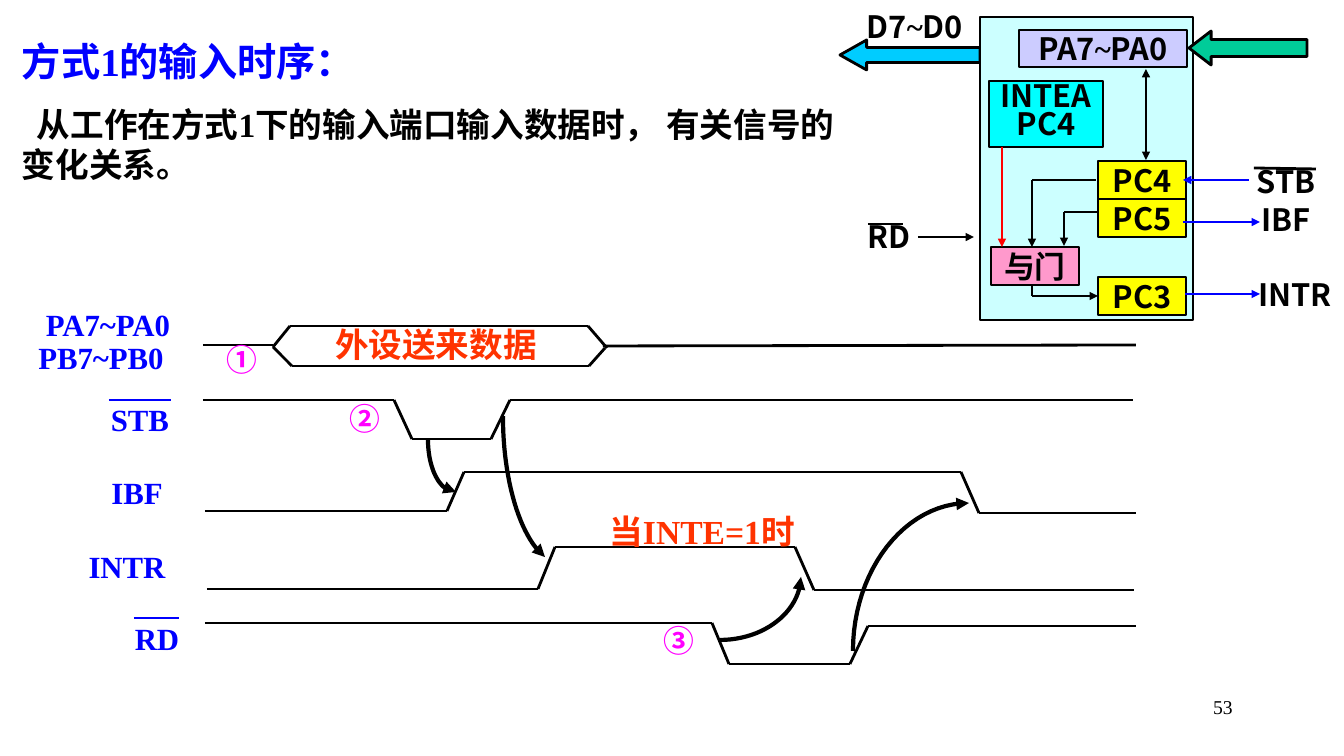
from dataclasses import dataclass
from itertools import pairwise

from lxml import etree
from pptx import Presentation
from pptx import util as u
from pptx.dml.color import RGBColor
from pptx.enum import shapes, text
from pptx.oxml.ns import qn

PX = 914400 / 100.8
CURVE_STEPS = 24
Point = tuple[int, int]


def emu(px: float) -> int:
    return round(px * PX)


@dataclass(frozen=True)
class Style:
    color: str
    size: int = 22
    font: str = "Times New Roman"
    bold: bool = True
    spacing: float | None = None


class Theme:
    BLACK, BLUE, RED = "000000", "0000FF", "FF0000"
    YELLOW, CYAN, PINK = "FFFF00", "00FFFF", "FF99CC"
    PANEL, PORT = "CCFFFF", "CCCCFF"
    BUS, DEVICE = "00CCFF", "00CC99"
    LATIN, CJK = "Times New Roman", "Noto Sans CJK SC"
    TITLE = Style(BLUE, 28)
    BODY = Style(BLACK, 24, spacing=28.8)
    SIGNAL = Style(BLUE)
    PIN = Style(BLACK, font=CJK)
    ENABLE = Style(BLACK, font=CJK, spacing=20)
    STEP = Style("FF00FF", font=CJK)
    REMARK = Style("FF3300", 24)
    PAGE = Style(BLACK, 14, bold=False)


@dataclass(frozen=True)
class Label:
    """Text centred on (cx, cy)."""
    words: str
    cx: int
    cy: int
    style: Style
    width: int = 110


@dataclass(frozen=True)
class Block:
    words: str
    x: int
    y: int
    w: int
    h: int
    fill: str
    line: float = 1.5
    style: Style = Theme.PIN
    arrow: float | None = None


@dataclass(frozen=True)
class Wire:
    points: tuple[Point, ...]
    color: str = Theme.BLACK
    head: bool = False
    tail: bool = False


LABELS = [
    Label("PA7~PA0", 108, 324, Theme.SIGNAL, 160),
    Label("PB7~PB0", 101, 357, Theme.SIGNAL, 160),
    Label("STB", 140, 419, Theme.SIGNAL),
    Label("IBF", 137, 492, Theme.SIGNAL),
    Label("INTR", 127, 566, Theme.SIGNAL),
    Label("RD", 157, 638, Theme.SIGNAL),
    Label("外设送来数据", 436, 344, Theme.REMARK, 300),
    Label("当INTE=1时", 702, 531, Theme.REMARK, 300),
    Label("①", 242, 359, Theme.STEP),
    Label("②", 365, 418, Theme.STEP),
    Label("③", 679, 640, Theme.STEP),
    Label("D7~D0", 915, 26, Theme.PIN, 120),
    Label("RD", 889, 236, Theme.PIN),
    Label("STB", 1286, 181, Theme.PIN),
    Label("IBF", 1286, 219, Theme.PIN),
    Label("INTR", 1295, 294, Theme.PIN, 98),
    Label("53", 1223, 707, Theme.PAGE),
]

BLOCKS = [
    Block("", 840, 40, 140, 30, Theme.BUS, 2, arrow=0.89),
    Block("", 980, 17, 213, 303, Theme.PANEL, 1),
    Block("PA7~PA0", 1019, 30, 168, 37, Theme.PORT, 2),
    Block("PC4", 1098, 161, 88, 38, Theme.YELLOW),
    Block("PC5", 1098, 199, 88, 38, Theme.YELLOW),
    Block("PC3", 1098, 277, 88, 38, Theme.YELLOW),
    Block("INTEA\nPC4", 989, 81, 114, 66, Theme.CYAN, style=Theme.ENABLE),
    Block("与门", 991, 247, 88, 38, Theme.PINK),
    Block("", 1189, 31, 118, 34, Theme.DEVICE, 2, arrow=0.65),
]

WAVEFORMS = [
    Wire(((203, 345), (273, 345))),
    Wire(((273, 347), (290, 326), (588, 326), (607, 348))),
    Wire(((273, 347), (292, 366), (589, 366), (605, 348))),
    Wire(((603, 346), (1136, 345))),
    Wire(((203, 400), (394, 400), (412, 439), (491, 439), (510, 400), (1133, 400))),
    Wire(((205, 511), (447, 511), (464, 472), (961, 472), (979, 513), (1136, 513))),
    Wire(((207, 589), (538, 589), (555, 547), (795, 547), (814, 590), (1134, 590))),
    Wire(((205, 623), (712, 623), (729, 664), (850, 664), (868, 626), (1136, 626))),
]

OVERLINES = [
    Wire(((109, 400), (171, 400)), Theme.BLUE),
    Wire(((134, 618), (179, 618)), Theme.BLUE),
    Wire(((868, 224), (903, 224))),
    Wire(((1254, 168), (1316, 169))),
]

CHIP_WIRES = [
    Wire(((918, 237), (974, 237)), tail=True),
    Wire(((1146, 69), (1146, 160)), head=True, tail=True),
    Wire(((1002, 147), (1002, 247)), Theme.RED, tail=True),
    Wire(((1096, 180), (1032, 180), (1032, 247)), tail=True),
    Wire(((1098, 212), (1064, 212), (1064, 246)), tail=True),
    Wire(((1032, 285), (1032, 296), (1098, 296)), tail=True),
    Wire(((1249, 180), (1183, 180)), Theme.BLUE, tail=True),
    Wire(((1183, 222), (1260, 222)), Theme.BLUE, tail=True),
    Wire(((1185, 294), (1260, 294)), Theme.BLUE, tail=True),
]

# Start, two control points, end
CAUSES = [
    ((428, 439), (428, 469), (440, 492), (456, 492)),
    ((503, 416), (503, 480), (520, 537), (545, 557)),
    ((720, 640), (764, 640), (800, 612), (801, 577)),
    ((853, 651), (853, 570), (905, 503), (969, 503)),
]


def write(frame, words: str, style: Style, align=text.PP_ALIGN.CENTER,
          anchor=text.MSO_ANCHOR.MIDDLE, indent: int = 0) -> None:
    frame.word_wrap = True
    frame.auto_size = text.MSO_AUTO_SIZE.NONE
    frame.vertical_anchor = anchor
    frame.margin_left = frame.margin_right = frame.margin_top = frame.margin_bottom = 0
    for number, line in enumerate(words.split("\n")):
        paragraph = frame.add_paragraph() if number else frame.paragraphs[0]
        props = paragraph._p.get_or_add_pPr()
        props.set("marL", "0")
        props.set("indent", str(emu(indent)))
        etree.SubElement(props, qn("a:buNone"))
        paragraph.alignment = align
        paragraph.space_before = u.Pt(0)
        if style.spacing:
            paragraph.line_spacing = u.Pt(style.spacing)
        font = paragraph.font
        font.size, font.bold, font.name = u.Pt(style.size), style.bold, style.font
        font.color.rgb = RGBColor.from_string(style.color)
        etree.SubElement(props.find(qn("a:defRPr")), qn("a:ea"), typeface=Theme.CJK)
        for piece in filter(None, line.partition("~")):
            run = paragraph.add_run()
            run.text = piece
            if piece == "~" and style.font == Theme.CJK:
                run.font.name = Theme.LATIN


def stroke(shape, color: str, width: float, head: bool = False, tail: bool = False) -> None:
    shape.line.color.rgb = RGBColor.from_string(color)
    shape.line.width = u.Pt(width)
    outline = shape.element.spPr.find(qn("a:ln"))
    for shown, end in ((head, "a:headEnd"), (tail, "a:tailEnd")):
        if shown:
            etree.SubElement(outline, qn(end), type="triangle")


def draw_label(slide, label: Label) -> None:
    height = 44
    box = slide.shapes.add_textbox(emu(label.cx - label.width / 2), emu(label.cy - height / 2),
                                   emu(label.width), emu(height))
    write(box.text_frame, label.words, label.style)


def draw_block(slide, block: Block) -> None:
    kind = shapes.MSO_SHAPE.LEFT_ARROW if block.arrow else shapes.MSO_SHAPE.RECTANGLE
    shape = slide.shapes.add_shape(kind, *map(emu, (block.x, block.y, block.w, block.h)))
    shape.shadow.inherit = False
    shape.fill.solid()
    shape.fill.fore_color.rgb = RGBColor.from_string(block.fill)
    stroke(shape, Theme.BLACK, block.line)
    if block.arrow:
        shape.adjustments[1] = block.arrow
    if block.words:
        write(shape.text_frame, block.words, block.style)


def draw_wire(slide, wire: Wire) -> None:
    """Join the points with straight connectors; arrowheads only at the outer ends."""
    for start, end in pairwise(wire.points):
        line = slide.shapes.add_connector(shapes.MSO_CONNECTOR.STRAIGHT, *map(emu, start + end))
        stroke(line, wire.color, 2, wire.head and start == wire.points[0],
               wire.tail and end == wire.points[-1])
        etree.SubElement(line.element.spPr, qn("a:effectLst"))


def draw_cause(slide, controls: tuple[Point, ...]) -> None:
    """Draw a cubic Bézier arrow from one signal edge to the next."""
    points = []
    for step in range(CURVE_STEPS + 1):
        t = step / CURVE_STEPS
        weights = ((1 - t) ** 3, 3 * t * (1 - t) ** 2, 3 * t * t * (1 - t), t ** 3)
        points.append(tuple(emu(sum(w * c for w, c in zip(weights, axis)))
                            for axis in zip(*controls)))
    builder = slide.shapes.build_freeform(*points[0])
    builder.add_line_segments(points[1:], close=False)
    curve = builder.convert_to_shape()
    curve.shadow.inherit = False
    curve.fill.background()
    stroke(curve, Theme.BLACK, 3, tail=True)


def place(holder, x: int, y: int, w: int, h: int) -> None:
    holder.left, holder.top, holder.width, holder.height = map(emu, (x, y, w, h))


def main() -> None:
    deck = Presentation()
    deck.slide_width, deck.slide_height = emu(1344), emu(756)
    slide = deck.slides.add_slide(deck.slide_layouts[1])
    heading, summary = slide.placeholders
    place(heading, 22, 37, 800, 58)
    write(heading.text_frame, "方式1的输入时序：", Theme.TITLE,
          text.PP_ALIGN.LEFT, text.MSO_ANCHOR.TOP)
    place(summary, 22, 104, 829, 90)
    write(summary.text_frame, "从工作在方式1下的输入端口输入数据时， 有关信号的变化关系。",
          Theme.BODY, text.PP_ALIGN.LEFT, text.MSO_ANCHOR.TOP, indent=15)
    for block in BLOCKS:
        draw_block(slide, block)
    for wire in WAVEFORMS + OVERLINES + CHIP_WIRES:
        draw_wire(slide, wire)
    for controls in CAUSES:
        draw_cause(slide, controls)
    for label in LABELS:
        draw_label(slide, label)
    deck.save("out.pptx")


if __name__ == "__main__":
    main()
